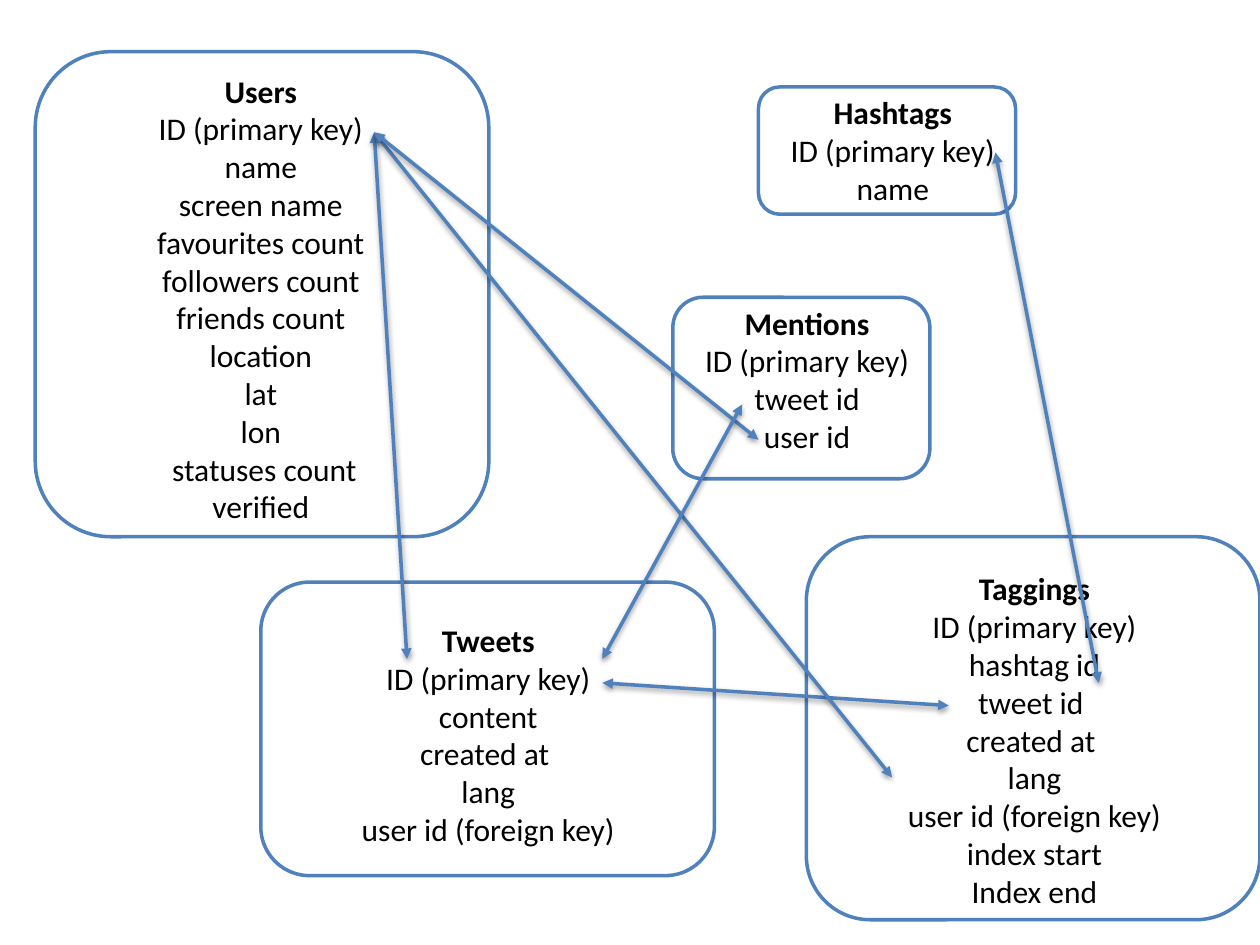
import pptx
import pptx.util
import pptx.dml.color
import pptx.enum.shapes
import pptx.enum.text
import pptx.oxml
import pptx.oxml.ns
from dataclasses import dataclass

PX = 9144  # EMU per px, 100 px to the inch
SHADOW = (
    f'<a:effectLst {pptx.oxml.ns.nsdecls("a")}>'
    '<a:outerShdw blurRad="40000" dist="20000" dir="5400000" rotWithShape="0">'
    '<a:srgbClr val="000000"><a:alpha val="38000"/></a:srgbClr>'
    '</a:outerShdw></a:effectLst>'
)


@dataclass(frozen=True)
class Theme:
    font: str = "Calibri"
    size: int = 18
    text: str = "000000"
    fill: str = "FFFFFF"
    line: str = "4F81BD"
    line_width: int = 2


def rgb(value):
    return pptx.dml.color.RGBColor.from_string(value)


def add_text(p, text, *, font, size, color, bold=False):
    r = p.add_run()
    r.text = text
    r.font.name = font
    r.font.size = pptx.util.Pt(size)
    r.font.color.rgb = rgb(color)
    r.font.bold = bold
    p.alignment = pptx.enum.text.PP_ALIGN.CENTER


class Diagram:
    def __init__(self, s, theme):
        self.s = s
        self.theme = theme

    def outline(self, line):
        line.color.rgb = rgb(self.theme.line)
        line.width = pptx.util.Pt(self.theme.line_width)

    def box(self, *at):
        sp = self.s.shapes.add_shape(
            pptx.enum.shapes.MSO_SHAPE.ROUNDED_RECTANGLE, *(v * PX for v in at))
        sp.shadow.inherit = False
        sp.fill.solid()
        sp.fill.fore_color.rgb = rgb(self.theme.fill)
        self.outline(sp.line)

    def fields(self, at, name, rows):
        tf = self.s.shapes.add_textbox(*(v * PX for v in at)).text_frame
        tf.word_wrap = True
        tf.auto_size = pptx.enum.text.MSO_AUTO_SIZE.SHAPE_TO_FIT_TEXT
        t = self.theme
        for i, row in enumerate([name, *rows]):
            p = tf.add_paragraph() if i else tf.paragraphs[0]
            add_text(p, row, font=t.font, size=t.size, color=t.text, bold=i == 0)

    def arrow(self, start, end):
        c = self.s.shapes.add_connector(
            pptx.enum.shapes.MSO_CONNECTOR.STRAIGHT, *(v * PX for v in start + end))
        self.outline(c.line)
        ln = c.line._get_or_add_ln()
        for tag in ("headEnd", "tailEnd"):
            ln.append(pptx.oxml.parse_xml(
                f'<a:{tag} {pptx.oxml.ns.nsdecls("a")} type="triangle"/>'))
        c._element.spPr.append(pptx.oxml.parse_xml(SHADOW))


# Tables: name, box, text area, fields after the primary key
TABLES = [
    ("Users", (28, 41, 360, 385), (102, 52, 210, 374),
     ["name", "screen name", "favourites count", "followers count",
      "friends count", "location", "lat", "lon", " statuses count", "verified"]),
    ("Tweets", (207, 462, 360, 233), (268, 488, 239, 192),
     ["content", "created at ", "lang", "user id (foreign key)"]),
    ("Taggings", (640, 426, 360, 304), (690, 447, 262, 283),
     ["hashtag id", "tweet id ", "created at ", "lang",
      "user id (foreign key)", "index start", "Index end"]),
    ("Hashtags", (602, 69, 204, 101), (589, 69, 239, 101), ["name"]),
    ("Mentions", (534, 236, 204, 144), (521, 236, 239, 131),
     ["tweet id", "user id"]),
]

# Relations between keys
USER_ID = (297, 105)
RELATIONS = [
    (USER_ID, (323, 523)),     # Users - Tweets
    ((478, 542), (753, 560)),  # Tweets - Taggings
    (USER_ID, (708, 617)),     # Users - Taggings
    ((872, 542), (790, 121)),  # Taggings - Hashtags
    (USER_ID, (602, 349)),     # Users - Mentions
    ((478, 523), (589, 321)),  # Tweets - Mentions
]


def main():
    prs = pptx.Presentation()
    prs.slide_width, prs.slide_height = 1000 * PX, 750 * PX
    diagram = Diagram(prs.slides.add_slide(prs.slide_layouts[6]), Theme())

    # Entities
    for name, box, area, rows in TABLES:
        diagram.box(*box)
        diagram.fields(area, name, ["ID (primary key)", *rows])

    # Links
    for start, end in RELATIONS:
        diagram.arrow(start, end)

    prs.save("out.pptx")


if __name__ == "__main__":
    main()
